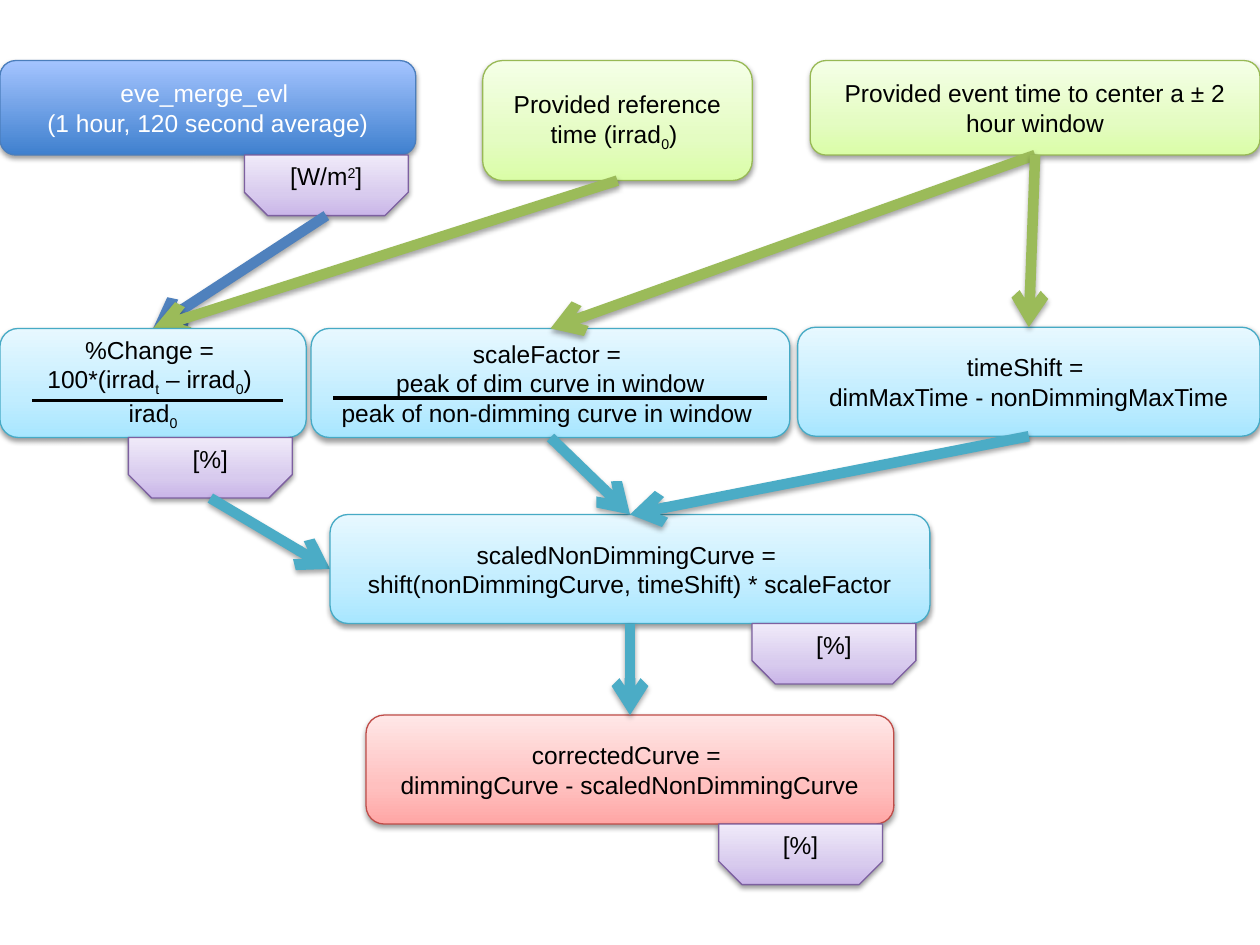
import collections
import lxml.etree
import pptx
import pptx.dml.color
import pptx.enum.shapes
import pptx.enum.text
import pptx.oxml.ns
import pptx.util

Pt = pptx.util.Pt
SHAPES = pptx.enum.shapes.MSO_SHAPE
ANCHORS = pptx.enum.text.MSO_ANCHOR
Style = collections.namedtuple("Style", "stops line text")

BLUE = Style([(0, "3F80CE"), (100, "A4C4FF")], "4B7EBC", "FFFFFF")
GREEN = Style([(0, "DAFDA7"), (35, "E4FCC2"), (100, "F5FFE7")], "98B955", "000000")
AQUA = Style([(0, "A7E6FF"), (35, "C1EDFF"), (100, "E7F8FF")], "46AAC5", "000000")
RED = Style([(0, "FFA6A5"), (35, "FFC0BF"), (100, "FFE7E7")], "BF4C48", "000000")
PURPLE = Style([(0, "C9B5E8"), (35, "D8CBEE"), (100, "F0EAF9")], "7D60A0", "000000")
BLUE_ARROW, GREEN_ARROW, AQUA_ARROW = "4F81BD", "9BBB59", "4BACC6"
TAB_WIDTH, TAB_HEIGHT = 93.6, 34.6


class Box(collections.namedtuple("Box", "left top width height")):
    @property
    def bottom(self):
        return self.top + self.height

    @property
    def top_middle(self):
        return self.left + self.width / 2, self.top

    @property
    def bottom_middle(self):
        return self.left + self.width / 2, self.bottom

    @property
    def left_middle(self):
        return self.left, self.top + self.height / 2


def color(value):
    return pptx.dml.color.RGBColor.from_string(value)


def add_xml(parent, tag, **attributes):
    return lxml.etree.SubElement(parent, pptx.oxml.ns.qn(tag), attributes)


def add_shadow(shape, opacity, distance):
    """Soft shadow straight below; call after fill and line are set."""
    effects = add_xml(shape._element.spPr, "a:effectLst")
    shadow = add_xml(effects, "a:outerShdw", blurRad=str(Pt(3.1)), dist=str(Pt(distance)),
                     dir="5400000", rotWithShape="0")
    black = add_xml(shadow, "a:srgbClr", val="000000")
    add_xml(black, "a:alpha", val=str(opacity * 1000))


def write_lines(frame, lines, text_color, shift):
    """Every second piece between bars is raised or lowered by shift."""
    frame.word_wrap = True
    for index, line in enumerate(lines):
        para = frame.paragraphs[0] if index == 0 else frame.add_paragraph()
        para.alignment = pptx.enum.text.PP_ALIGN.CENTER
        for number, piece in enumerate(line.split("|")):
            if not piece:
                continue
            span = para.add_run()
            span.text = piece
            span.font.size = Pt(14)
            span.font.name = "Arial"
            span.font.color.rgb = color(text_color)
            if number % 2:
                span.font._element.set("baseline", str(shift * 1000))


def add_block(page, box, style, lines, preset=SHAPES.ROUNDED_RECTANGLE,
              anchor=ANCHORS.MIDDLE, shift=-25):
    shape = page.shapes.add_shape(preset, *(Pt(length) for length in box))
    shape.fill.gradient()
    shape.fill.gradient_angle = 90
    stops = shape._element.spPr.find(".//" + pptx.oxml.ns.qn("a:gsLst"))
    stops.clear()
    for position, value in style.stops:
        stop = add_xml(stops, "a:gs", pos=str(position * 1000))
        add_xml(stop, "a:srgbClr", val=value)
    shape.line.color.rgb = color(style.line)
    shape.line.width = Pt(0.75)
    add_shadow(shape, 38, 1.6)
    shape.text_frame.vertical_anchor = anchor
    write_lines(shape.text_frame, lines, style.text, shift)
    return shape


def add_unit_tab(page, box, inset, unit):
    """Unit label hanging under a block, inset from its right edge."""
    tab = Box(box.left + box.width - inset - TAB_WIDTH, box.bottom, TAB_WIDTH, TAB_HEIGHT)
    shape = add_block(page, tab, PURPLE, [unit], SHAPES.SNIP_2_SAME_RECTANGLE,
                      ANCHORS.TOP, shift=30)
    shape.adjustments[0] = 0
    shape.adjustments[1] = 0.385
    return tab


def add_line(page, start, end, line_color, width):
    line = page.shapes.add_connector(pptx.enum.shapes.MSO_CONNECTOR.STRAIGHT,
                                     *(Pt(length) for length in (*start, *end)))
    line.line.color.rgb = color(line_color)
    line.line.width = Pt(width)
    return line


def add_arrow(page, start, end, line_color):
    arrow = add_line(page, start, end, line_color, 6)
    add_xml(arrow.line._get_or_add_ln(), "a:tailEnd", type="arrow")
    add_shadow(arrow, 35, 1.8)


def add_fraction(page, box, lines, bar_left, bar_width, bar_drop):
    add_block(page, box, AQUA, lines)
    left, top = box.left + bar_left, box.top + bar_drop
    bar = add_line(page, (left, top), (left + bar_width, top), "000000", 2)
    add_xml(bar._element.spPr, "a:effectLst")


def main():
    deck = pptx.Presentation()
    deck.slide_width, deck.slide_height = Pt(720), Pt(540)
    page = deck.slides.add_slide(deck.slide_layouts[6])

    average = Box(0, 34.6, 237.6, 54)
    reference = Box(275.8, 34.6, 154.1, 68.6)
    event = Box(463, 34.6, 257, 54)
    change = Box(0, 187.7, 175, 62.3)
    factor = Box(177.8, 187.7, 273.6, 62.3)
    time_shift = Box(455.8, 187, 264.2, 62.3)
    scaled = Box(188.6, 294, 342.8, 62.3)
    corrected = Box(209.2, 408.6, 301.6, 62.3)

    # Inputs
    add_block(page, average, BLUE, ["eve_merge_evl ", "(1 hour, 120 second average)"])
    average_tab = add_unit_tab(page, average, 4.3, "[W/m|2|]")
    add_block(page, reference, GREEN, ["Provided reference time (irrad|0|) "])
    add_block(page, event, GREEN, ["Provided event time to center a ± 2 hour window"])

    # Percent change
    add_arrow(page, average_tab.bottom_middle, change.top_middle, BLUE_ARROW)
    add_arrow(page, reference.bottom_middle, change.top_middle, GREEN_ARROW)
    add_fraction(page, change, ["%Change = ", "100*(irrad|t| – irrad|0|) ", "irad|0|"],
                 18.5, 143, 41.2)
    change_tab = add_unit_tab(page, change, 8, "[%]")

    # Scale factor and time shift
    add_fraction(page, factor, ["scaleFactor = ", "peak of dim curve in window",
                                "peak of non-dimming curve in window "], 12.5, 248, 39.7)
    add_block(page, time_shift, AQUA, ["timeShift = ", "dimMaxTime - nonDimmingMaxTime"])
    for target in (factor, time_shift):
        add_arrow(page, event.bottom_middle, target.top_middle, GREEN_ARROW)

    # Scaled curve
    add_arrow(page, change_tab.bottom_middle, scaled.left_middle, AQUA_ARROW)
    add_block(page, scaled, AQUA, ["scaledNonDimmingCurve = ",
                                   "shift(nonDimmingCurve, timeShift) * scaleFactor"])
    for origin in (factor, time_shift):
        add_arrow(page, origin.bottom_middle, scaled.top_middle, AQUA_ARROW)

    # Corrected curve
    add_block(page, corrected, RED, ["correctedCurve = ",
                                     "dimmingCurve - scaledNonDimmingCurve"])
    add_arrow(page, scaled.bottom_middle, corrected.top_middle, AQUA_ARROW)
    add_unit_tab(page, scaled, 8, "[%]")
    add_unit_tab(page, corrected, 6.5, "[%]")

    deck.save("out.pptx")


if __name__ == "__main__":
    main()
